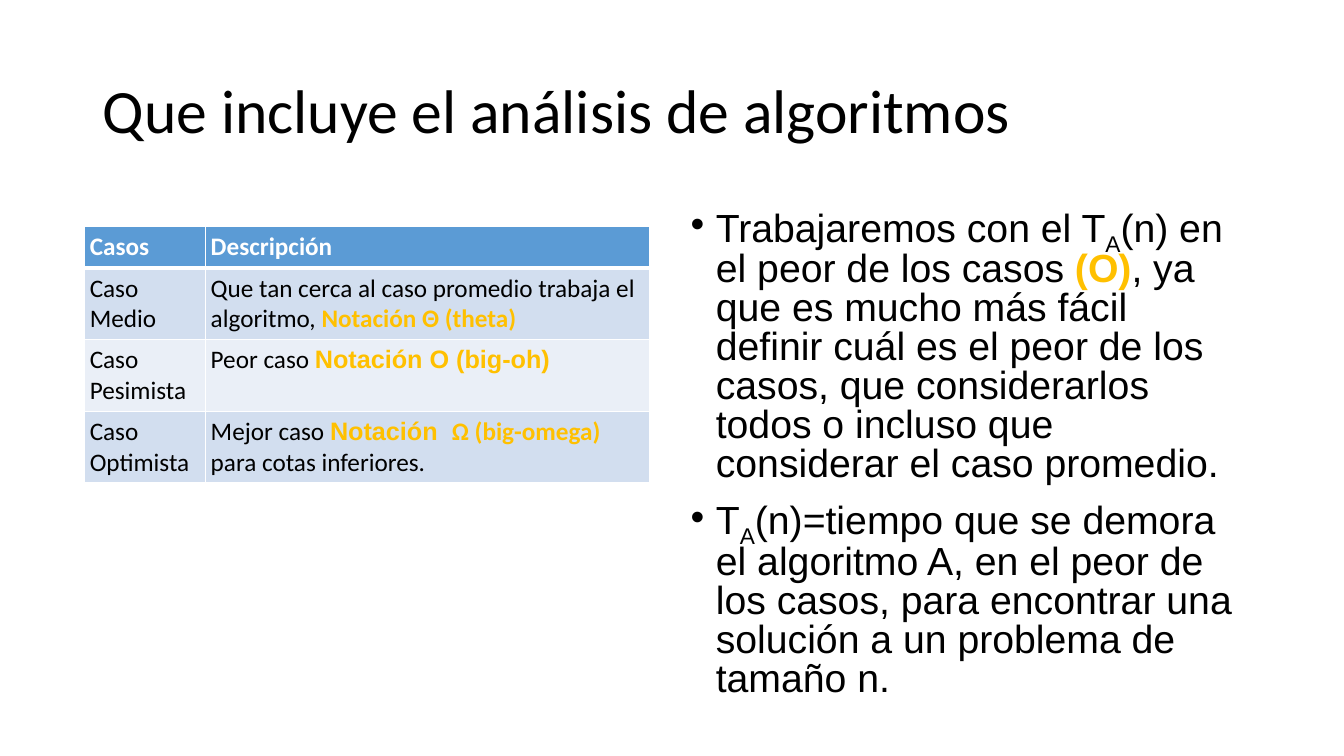
from dataclasses import dataclass

from lxml.etree import SubElement as add_node
from pptx import Presentation
from pptx.dml.color import RGBColor as Color
from pptx.enum.text import MSO_ANCHOR as Anchor, MSO_AUTO_SIZE as AutoSize, PP_ALIGN as Align
from pptx.oxml.ns import qn
from pptx.util import Inches, Pt


@dataclass(frozen=True)
class Theme:
    """Colours, fonts and type sizes of the slide."""
    text: str = "000000"
    light: str = "FFFFFF"
    accent: str = "FFC000"
    header: str = "5B9BD5"
    bands: tuple = ("D2DEEF", "EAEFF7")
    sans: str = "Calibri"
    body: str = "Arial"
    title_size: int = 44
    body_size: int = 28
    table_size: int = 18


THEME = Theme()

CASES = [
    ("Caso Medio", [
        ("Que tan cerca al caso promedio trabaja el algoritmo, ", {}),
        ("Notación Θ (theta)", {"accent": True})]),
    ("Caso Pesimista", [
        ("Peor caso ", {}),
        ("Notación O (big-oh)", {"accent": True, "font": THEME.body})]),
    ("Caso Optimista", [
        ("Mejor caso ", {}),
        ("Notación  ", {"accent": True, "font": THEME.body}),
        ("Ω (big-omega) ", {"accent": True}),
        ("para cotas inferiores.", {})]),
]

POINTS = [
    [("Trabajaremos con el T", {}), ("A", {"subscript": True}),
     ("(n) en el peor de los casos ", {}), ("(O)", {"accent": True}),
     (", ya que es mucho más fácil definir cuál es el peor de los casos, que "
      "considerarlos todos o incluso que considerar el caso promedio.", {})],
    [("T", {}), ("A", {"subscript": True}),
     ("(n)=tiempo que se demora el algoritmo A, en el peor de los casos, para "
      "encontrar una solución a un problema de tamaño n.", {})],
]


def add_span(para, text, size, font, color=THEME.text, bold=False, accent=False, subscript=False):
    """Add one formatted run to a paragraph."""
    span = para.add_run()
    span.text = text
    span.font.size = Pt(size)
    span.font.name = font
    span.font.bold = bold or accent
    span.font.color.rgb = Color.from_string(THEME.accent if accent else color)
    if subscript:
        span.font._element.set("baseline", "-25000")


def place(shape, box):
    """Move a shape to a box of left, top, width and height in inches."""
    shape.left, shape.top, shape.width, shape.height = map(Inches, box)


def fill_title(shape, box, text):
    """Place the title and write its text."""
    place(shape, box)
    frame = shape.text_frame
    frame.auto_size = AutoSize.NONE
    frame.vertical_anchor = Anchor.MIDDLE
    para = frame.paragraphs[0]
    para.alignment = Align.LEFT
    para.line_spacing = 0.9
    add_span(para, text, THEME.title_size, THEME.sans)


def set_borders(cell, widths):
    """Draw light borders with the given widths in points by side."""
    properties = cell._tc.get_or_add_tcPr()
    for side, width in widths.items():
        line = add_node(properties, qn(f"a:ln{side}"), w=str(Pt(width)))
        fill = add_node(line, qn("a:solidFill"))
        add_node(fill, qn("a:srgbClr"), val=THEME.light)


def fill_cell(cell, spans, color, row):
    """Write and style one table cell."""
    cell.margin_left = cell.margin_right = Inches(0.05)
    cell.margin_top = cell.margin_bottom = Inches(0.05)
    for text, style in spans:
        add_span(cell.text_frame.paragraphs[0], text,
                 **{"size": THEME.table_size, "font": THEME.sans, **style})
    set_borders(cell, {"L": 1, "R": 1, "T": 3 if row == 1 else 1, "B": 3 if row == 0 else 1})
    cell.fill.solid()
    cell.fill.fore_color.rgb = Color.from_string(color)


def add_case_table(page, box, first_width, header_height):
    """Add the table of cases inside a box."""
    left, top, width, height = box
    table = page.shapes.add_table(len(CASES) + 1, 2, *map(Inches, box)).table
    for column, size in zip(table.columns, (first_width, width - first_width)):
        column.width = Inches(size)
    table.rows[0].height = Inches(header_height)
    heading = {"color": THEME.light, "bold": True}
    for column, text in enumerate(("Casos", "Descripción")):
        fill_cell(table.cell(0, column), [(text, heading)], THEME.header, 0)
    for row, (name, description) in enumerate(CASES, 1):
        table.rows[row].height = Inches((height - header_height) / len(CASES))
        band = THEME.bands[(row - 1) % 2]
        fill_cell(table.cell(row, 0), [(name, {})], band, row)
        fill_cell(table.cell(row, 1), description, band, row)


def fill_points(shape, box):
    """Place the body and write its bulleted list."""
    place(shape, box)
    frame = shape.text_frame
    frame.auto_size = AutoSize.NONE
    for index, spans in enumerate(POINTS):
        para = frame.add_paragraph() if index else frame.paragraphs[0]
        para.line_spacing = 0.83
        para.space_before = Pt(10)
        properties = para._p.get_or_add_pPr()
        properties.set("marL", str(Inches(0.25)))
        properties.set("indent", str(Inches(-0.25)))
        add_node(properties, qn("a:buFont"), typeface=THEME.body)
        add_node(properties, qn("a:buChar"), char="•")
        for text, style in spans:
            add_span(para, text, THEME.body_size, THEME.body, **style)


def build_slide(deck):
    """Add the slide with a title, a table and a list."""
    page = deck.slides.add_slide(deck.slide_layouts[1])
    fill_title(page.shapes.title, (0.92, 0.4, 11.5, 1.45), "Que incluye el análisis de algoritmos")
    add_case_table(page, (0.84, 2.25, 5.6, 2.51), 1.2, 0.41)
    fill_points(page.placeholders[1], (6.75, 2, 5.67, 4.76))


deck = Presentation()
deck.slide_width, deck.slide_height = Inches(13.33), Inches(7.5)
build_slide(deck)
deck.save("out.pptx")
